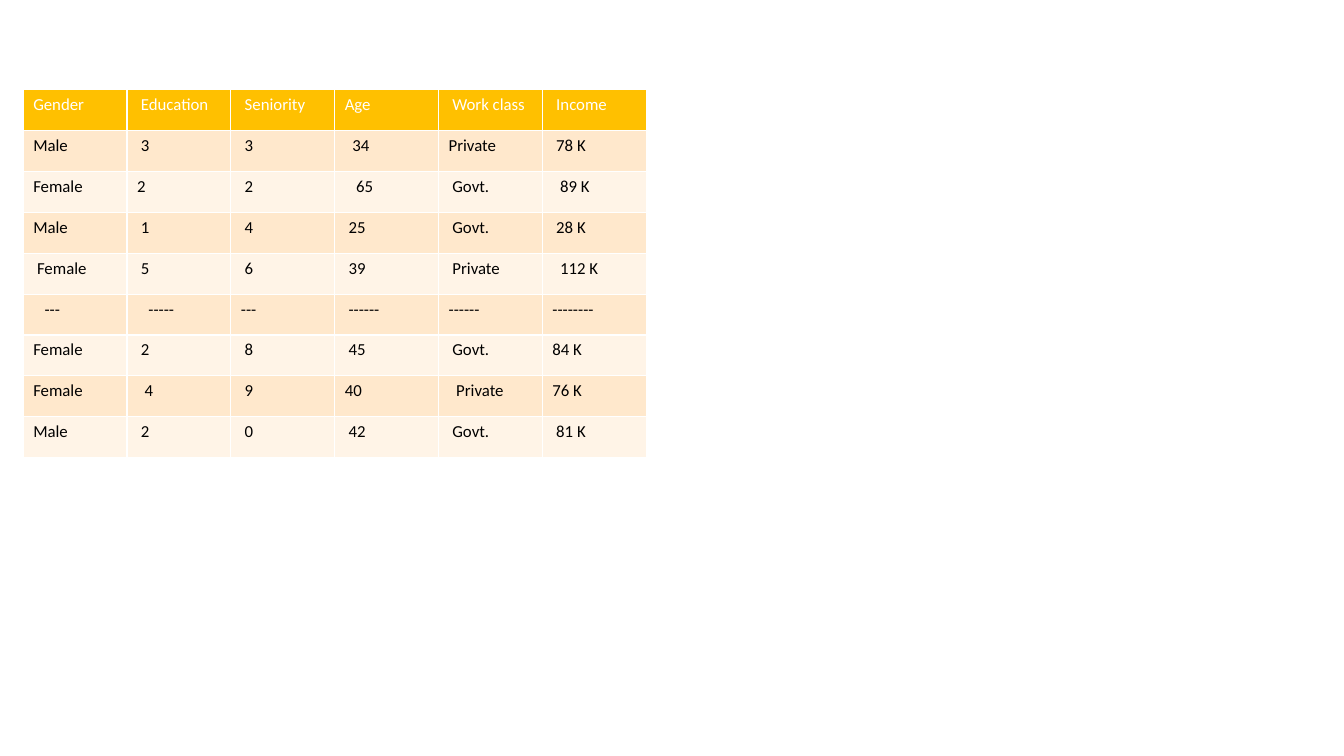
from pptx import Presentation
from pptx.dml.color import RGBColor
from pptx.util import Inches, Pt

SLIDE_WIDTH, SLIDE_HEIGHT = Inches(13.33), Inches(7.5)
BLANK_LAYOUT = 6
COLORS = {
    "header": "FFC000",
    "odd_row": "FFE8CC",
    "even_row": "FFF4E7",
    "header_text": "FFFFFF",
    "body_text": "000000",
}
FONT, FONT_SIZE = "Calibri", Pt(12)
TABLE_LEFT, TABLE_TOP = Inches(0.23), Inches(0.89)
COLUMN_WIDTH, ROW_HEIGHT = Inches(1.03), Inches(3.65 / 9)
CELL_MARGIN, INDENT_STEP = Inches(0.1), Pt(2.71)

# Each record: the cell texts, then the indent steps of each cell.
RECORDS = [
    (("Gender", "Education", "Seniority", "Age", "Work class", "Income"), (0, 1, 1, 0, 1, 1)),
    (("Male", "3", "3", "34", "Private", "78 K"), (0, 1, 1, 2, 0, 1)),
    (("Female", "2", "2", "65", "Govt.", "89 K"), (0, 0, 1, 3, 1, 2)),
    (("Male", "1", "4", "25", "Govt.", "28 K"), (0, 1, 1, 1, 1, 1)),
    (("Female", "5", "6", "39", "Private", "112 K"), (1, 1, 1, 1, 1, 2)),
    (("---", "-----", "---", "------", "------", "--------"), (3, 3, 0, 1, 0, 0)),
    (("Female", "2", "8", "45", "Govt.", "84 K"), (0, 1, 1, 1, 1, 0)),
    (("Female", "4", "9", "40", "Private", "76 K"), (0, 2, 1, 0, 2, 0)),
    (("Male", "2", "0", "42", "Govt.", "81 K"), (0, 1, 1, 1, 1, 1)),
]


def row_colors(row):
    """Return the fill and text colours of a table row."""
    if row == 0:
        return COLORS["header"], COLORS["header_text"]
    return COLORS["odd_row" if row % 2 else "even_row"], COLORS["body_text"]


def fill_cell(cell, text, indent, fill, text_color):
    """Write one table cell with its indent, fill and font."""
    cell.text = text
    cell.margin_left = CELL_MARGIN + indent * INDENT_STEP
    cell.fill.solid()
    cell.fill.fore_color.rgb = RGBColor.from_string(fill)
    font = cell.text_frame.paragraphs[0].runs[0].font
    font.name, font.size, font.bold = FONT, FONT_SIZE, False
    font.color.rgb = RGBColor.from_string(text_color)


def add_income_table(slide):
    """Add the table of employees; its default style draws the white borders."""
    row_count, column_count = len(RECORDS), len(RECORDS[0][0])
    table = slide.shapes.add_table(
        row_count, column_count, TABLE_LEFT, TABLE_TOP,
        COLUMN_WIDTH * column_count, ROW_HEIGHT * row_count,
    ).table
    for column in table.columns:
        column.width = COLUMN_WIDTH
    for row, (texts, indents) in enumerate(RECORDS):
        table.rows[row].height = ROW_HEIGHT
        for column, (text, indent) in enumerate(zip(texts, indents)):
            fill_cell(table.cell(row, column), text, indent, *row_colors(row))


def main():
    """Build the slide and save it."""
    presentation = Presentation()
    presentation.slide_width, presentation.slide_height = SLIDE_WIDTH, SLIDE_HEIGHT
    slide = presentation.slides.add_slide(presentation.slide_layouts[BLANK_LAYOUT])
    add_income_table(slide)
    presentation.save("out.pptx")


main()
